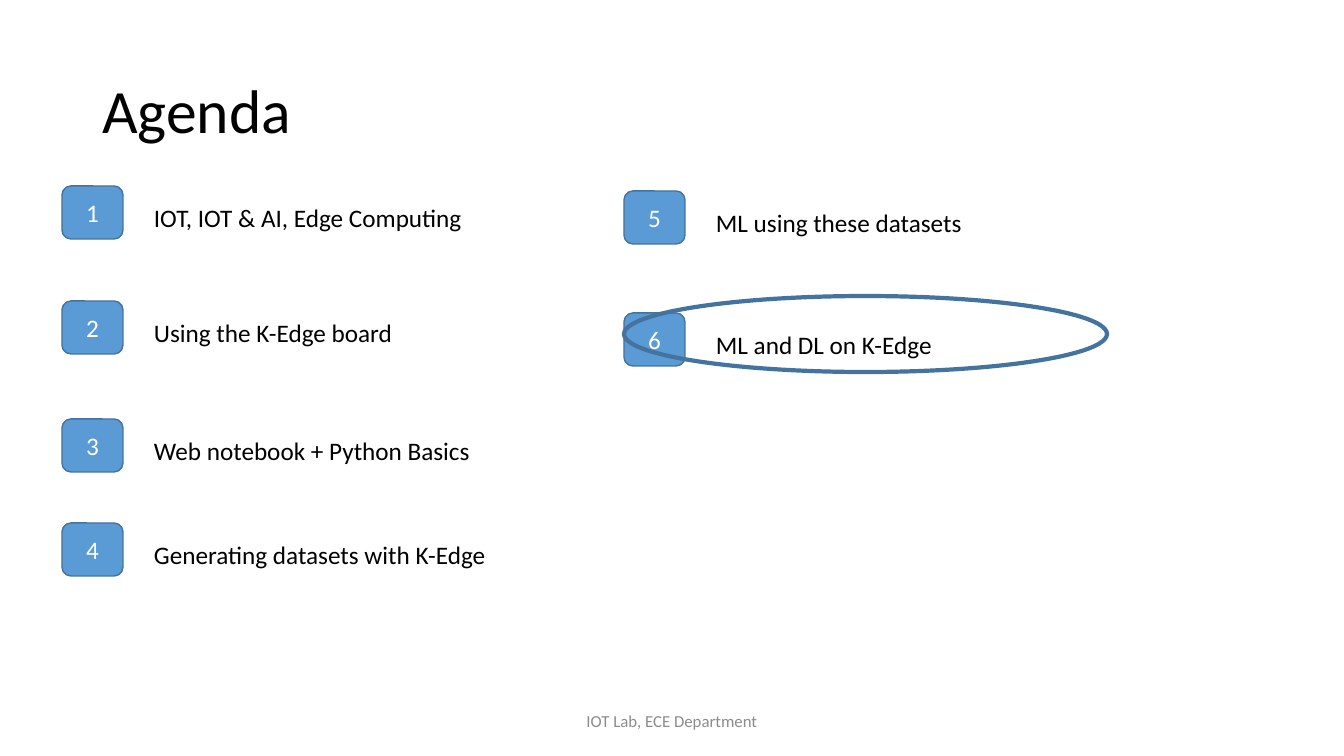
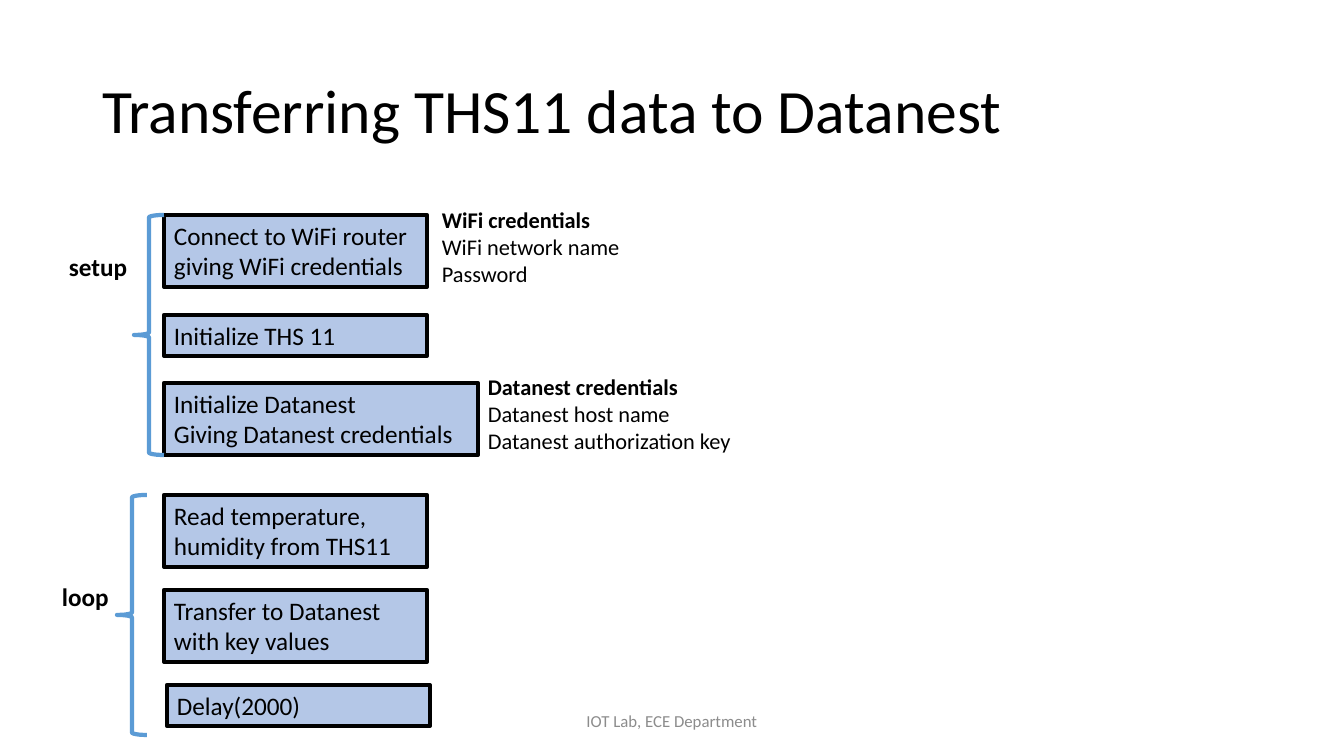
import pptx
import pptx.util
import pptx.dml.color
import pptx.enum.shapes
import pptx.enum.text

RGBColor = pptx.dml.color.RGBColor
Shape = pptx.enum.shapes.MSO_SHAPE
Anchor = pptx.enum.text.MSO_ANCHOR
Align = pptx.enum.text.PP_ALIGN
AutoSize = pptx.enum.text.MSO_AUTO_SIZE

BLACK = RGBColor(0x00, 0x00, 0x00)
WHITE = RGBColor(0xFF, 0xFF, 0xFF)
GREY = RGBColor(0x8C, 0x8C, 0x8C)
BLUE = RGBColor(0x5B, 0x9B, 0xD5)
DARK_BLUE = RGBColor(0x43, 0x73, 0x9E)
PALE_BLUE = RGBColor(0xB4, 0xC7, 0xE7)

FONT = "Calibri"
EMU_PER_PX = 914400 / 100.8
SLIDE_SIZE = (1344, 756)
TITLE_BOX = (92, 41, 1159, 146)
FOOTER_BOX = (445, 701, 454, 40)
FOOTER_TEXT = "IOT Lab, ECE Department"
BADGE_SIZE = (61, 53)
LINE_HEIGHT = 41
TWO_LINE_HEIGHT = 72
STEP_WIDTH = 263


def px(length):
    return round(length * EMU_PER_PX)


def to_emu(box):
    return [px(length) for length in box]


def write_text(shape, text, size=18, color=BLACK, align=Align.LEFT,
               anchor=Anchor.TOP, bold=False, bold_first=False,
               spacing=None, grow=False):
    frame = shape.text_frame
    frame.text = text
    frame.word_wrap = True
    frame.vertical_anchor = anchor
    frame.auto_size = AutoSize.SHAPE_TO_FIT_TEXT if grow else AutoSize.NONE
    for index, paragraph in enumerate(frame.paragraphs):
        paragraph.alignment = align
        if spacing:
            paragraph.line_spacing = spacing
        for run in paragraph.runs:
            run.font.name = FONT
            run.font.size = pptx.util.Pt(size)
            run.font.color.rgb = color
            run.font.bold = bold or (bold_first and index == 0)


def add_text(slide, box, text, **text_format):
    write_text(slide.shapes.add_textbox(*to_emu(box)), text, **text_format)


def add_shape(slide, kind, box, line, line_width, fill=None):
    shape = slide.shapes.add_shape(kind, *to_emu(box))
    shape.shadow.inherit = False
    shape.line.color.rgb = line
    shape.line.width = pptx.util.Pt(line_width)
    if fill is None:
        shape.fill.background()
    else:
        shape.fill.solid()
        shape.fill.fore_color.rgb = fill
    return shape


def add_titled_slide(presentation, title):
    slide = presentation.slides.add_slide(presentation.slide_layouts[5])
    placeholder = slide.shapes.title
    (placeholder.left, placeholder.top,
     placeholder.width, placeholder.height) = to_emu(TITLE_BOX)
    write_text(placeholder, title, size=44, anchor=Anchor.MIDDLE, spacing=0.9)
    add_text(slide, FOOTER_BOX, FOOTER_TEXT, size=12, color=GREY,
             align=Align.CENTER, anchor=Anchor.MIDDLE)
    return slide


def add_agenda_column(slide, left, first_number, items):
    for number, (top, text) in enumerate(items, first_number):
        badge = add_shape(slide, Shape.ROUNDED_RECTANGLE,
                          (left, top, *BADGE_SIZE), DARK_BLUE, 1, BLUE)
        write_text(badge, str(number), color=WHITE, align=Align.CENTER,
                   anchor=Anchor.MIDDLE)
        add_text(slide, (left + 82, top + 11, 385, LINE_HEIGHT), text,
                 grow=True)


def add_stage(slide, brace_box, label, label_box, steps):
    left, top, width, height = brace_box
    for step_left, offset, step_width, step_height, text in steps:
        step = add_shape(slide, Shape.RECTANGLE,
                         (step_left, top + offset, step_width, step_height),
                         BLACK, 3, PALE_BLUE)
        write_text(step, text, grow=True)
    add_shape(slide, Shape.LEFT_BRACE, brace_box, BLUE, 3)
    label_left, label_offset, label_width = label_box
    add_text(slide, (label_left, top + label_offset, label_width, LINE_HEIGHT),
             label, bold=True, grow=True)


def add_credentials(slide, left, top, text):
    add_text(slide, (left, top, 305, 92), text, size=16, bold_first=True,
             grow=True)


def build_agenda(presentation):
    slide = add_titled_slide(presentation, "Agenda")
    add_agenda_column(slide, 62, 1, [
        (186, "IOT, IOT & AI, Edge Computing"),
        (301, "Using the K-Edge board"),
        (419, "Web notebook + Python Basics"),
        (523, "Generating datasets with K-Edge"),
    ])
    add_agenda_column(slide, 624, 5, [
        (191, "ML using these datasets"),
        (313, "ML and DL on K-Edge"),
    ])
    add_shape(slide, Shape.OVAL, (624, 296, 483, 76), DARK_BLUE, 3)


def build_transfer(presentation):
    slide = add_titled_slide(presentation, "Transferring THS11 data to Datanest")
    add_stage(slide, (134, 215, 30, 240), "setup", (59, 31, 517), [
        (164, 0, STEP_WIDTH, TWO_LINE_HEIGHT,
         "Connect to WiFi router\ngiving WiFi credentials"),
        (164, 100, STEP_WIDTH, LINE_HEIGHT, "Initialize THS 11"),
        (164, 168, 314, TWO_LINE_HEIGHT,
         "Initialize Datanest\nGiving Datanest credentials"),
    ])
    add_credentials(slide, 432, 201,
                    "WiFi credentials\nWiFi network name\nPassword")
    add_credentials(slide, 478, 368,
                    "Datanest credentials\nDatanest host name\n"
                    "Datanest authorization key")
    add_stage(slide, (117, 495, 30, 240), "loop", (52, 81, 82), [
        (164, 0, STEP_WIDTH, TWO_LINE_HEIGHT,
         "Read temperature, humidity from THS11"),
        (164, 95, STEP_WIDTH, TWO_LINE_HEIGHT,
         "Transfer to Datanest with key values"),
        (167, 190, STEP_WIDTH, LINE_HEIGHT, "Delay(2000)"),
    ])


def main():
    presentation = pptx.Presentation()
    presentation.slide_width, presentation.slide_height = to_emu(SLIDE_SIZE)
    build_agenda(presentation)
    build_transfer(presentation)
    presentation.save("out.pptx")


if __name__ == "__main__":
    main()
